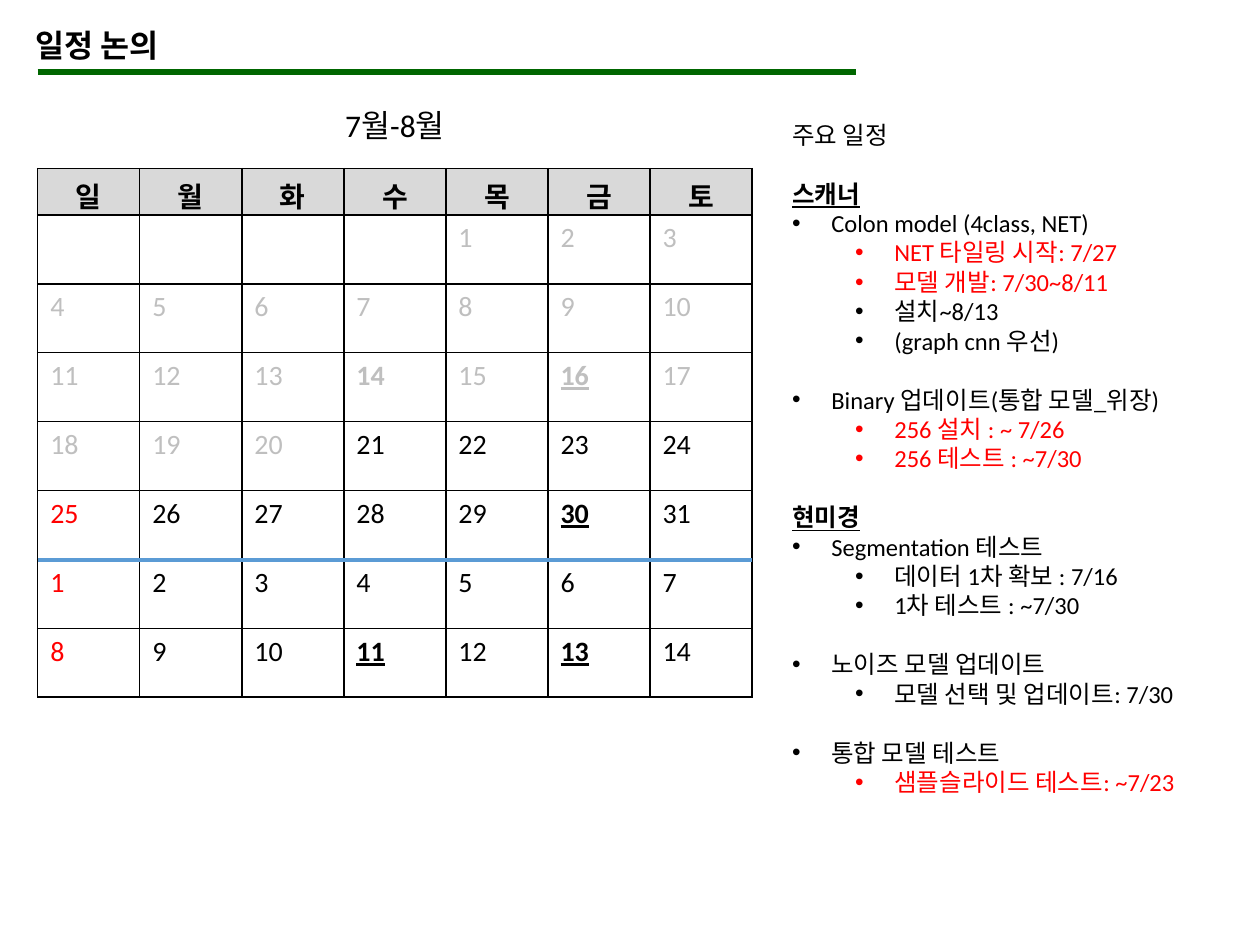
"""Builds the July-August schedule slide with its calendar and task list."""
import lxml.etree
import pptx
import pptx.dml.color
import pptx.enum.shapes
import pptx.enum.text
import pptx.oxml.ns
import pptx.util

Cm = pptx.util.Cm
Pt = pptx.util.Pt
RGBColor = pptx.dml.color.RGBColor
qn = pptx.oxml.ns.qn

BLACK = RGBColor(0x00, 0x00, 0x00)
WHITE = RGBColor(0xFF, 0xFF, 0xFF)
RED = RGBColor(0xFF, 0x00, 0x00)
PAST_GREY = RGBColor(0xBF, 0xBF, 0xBF)
HEADER_GREY = RGBColor(0xD9, 0xD9, 0xD9)
GREEN = RGBColor(0x00, 0x66, 0x00)
BLUE = RGBColor(0x5B, 0x9B, 0xD5)

WEEKDAYS = "일월화수목금토"
WEEKS = 7
FIRST_WEEKDAY = 4
JULY_DAYS = 31
TODAY = 21
MILESTONES = {16, 30, JULY_DAYS + 11, JULY_DAYS + 13}
BOLD_DAYS = MILESTONES | {14}

HEADING, TASK, STEP = range(3)
INDENTS = {TASK: Cm(0.79), STEP: Cm(2.06)}
HANGING = Cm(0.79)
LINE_GAP = Pt(16.8)
SCHEDULE = [
    (HEADING, "스캐너", BLACK, True),
    (TASK, "Colon model (4class, NET)", BLACK, False),
    (STEP, "NET 타일링 시작: 7/27", RED, False),
    (STEP, "모델 개발: 7/30~8/11", RED, False),
    (STEP, "설치~8/13", BLACK, False),
    (STEP, "(graph cnn 우선)", BLACK, False),
    (TASK, "Binary 업데이트(통합 모델_위장)", BLACK, True),
    (STEP, "256 설치 : ~ 7/26", RED, False),
    (STEP, "256 테스트 : ~7/30", RED, False),
    (HEADING, "현미경", BLACK, True),
    (TASK, "Segmentation 테스트", BLACK, False),
    (STEP, "데이터 1차 확보 : 7/16", BLACK, False),
    (STEP, "1차 테스트 : ~7/30", BLACK, False),
    (TASK, "노이즈 모델 업데이트", BLACK, True),
    (STEP, "모델 선택 및 업데이트: 7/30", BLACK, False),
    (TASK, "통합 모델 테스트", BLACK, True),
    (STEP, "샘플슬라이드 테스트: ~7/23", RED, False),
]


def write(paragraph, text, size=14, color=BLACK, bold=False, underline=False, align=None):
    """Add formatted text to a paragraph."""
    run = paragraph.add_run()
    run.text = text
    run.font.name = "Calibri"
    run.font.size = Pt(size)
    run.font.color.rgb = color
    run.font.bold = bold
    run.font.underline = underline
    if align is not None:
        paragraph.alignment = align


class SlideBuilder:
    """Holds the slide and the style of its elements."""

    border_color = BLACK
    border_width = Pt(1)

    def __init__(self, slide):
        self.slide = slide

    def text_box(self, left, top, width, height):
        frame = self.slide.shapes.add_textbox(left, top, width, height).text_frame
        frame.word_wrap = True
        return frame

    def label(self, text, left, top, width, height, **style):
        write(self.text_box(left, top, width, height).paragraphs[0], text, **style)

    def rule(self, left, right, y, color, width):
        connector = self.slide.shapes.add_connector(
            pptx.enum.shapes.MSO_CONNECTOR.STRAIGHT, left, y, right, y)
        connector.line.color.rgb = color
        connector.line.width = Pt(width)
        properties = connector.line._get_or_add_ln().getparent()
        lxml.etree.SubElement(properties, qn("a:effectLst"))

    def bullet_list(self, title, entries, left, top, width, height):
        frame = self.text_box(left, top, width, height)
        write(frame.paragraphs[0], title)
        for kind, text, color, gap in entries:
            paragraph = frame.add_paragraph()
            if gap:
                paragraph.space_before = LINE_GAP
            if kind != HEADING:
                paragraph.level = kind - TASK
                properties = paragraph._p.get_or_add_pPr()
                properties.set("marL", str(INDENTS[kind]))
                properties.set("indent", str(-HANGING))
                lxml.etree.SubElement(properties, qn("a:buFont"), typeface="Arial")
                lxml.etree.SubElement(properties, qn("a:buChar"), char="•")
            heading = kind == HEADING
            write(paragraph, text, color=color, bold=heading, underline=heading)

    def style_cell(self, cell, fill):
        properties = cell._tc.get_or_add_tcPr()
        for side in ("a:lnL", "a:lnR", "a:lnT", "a:lnB"):
            border = lxml.etree.SubElement(properties, qn(side), w=str(self.border_width))
            solid = lxml.etree.SubElement(border, qn("a:solidFill"))
            lxml.etree.SubElement(solid, qn("a:srgbClr"), val=str(self.border_color))
        cell.fill.solid()
        cell.fill.fore_color.rgb = fill

    def calendar(self, left, top, width, header_height, week_height):
        columns = len(WEEKDAYS)
        grid = self.slide.shapes.add_table(
            WEEKS + 1, columns, left, top, width,
            header_height + WEEKS * week_height).table
        grid.rows[0].height = header_height
        for week in range(1, WEEKS + 1):
            grid.rows[week].height = week_height
        for column, weekday in enumerate(WEEKDAYS):
            header = grid.cell(0, column)
            self.style_cell(header, HEADER_GREY)
            header.vertical_anchor = pptx.enum.text.MSO_ANCHOR.MIDDLE
            write(header.text_frame.paragraphs[0], weekday, size=16, bold=True,
                  align=pptx.enum.text.PP_ALIGN.CENTER)
            for week in range(WEEKS):
                cell = grid.cell(week + 1, column)
                self.style_cell(cell, WHITE)
                day = week * columns + column - FIRST_WEEKDAY + 1
                if day < 1:
                    continue
                color = PAST_GREY if day < TODAY else RED if column == 0 else BLACK
                shown = day if day <= JULY_DAYS else day - JULY_DAYS
                write(cell.text_frame.paragraphs[0], str(shown), size=16, color=color,
                      bold=day in BOLD_DAYS, underline=day in MILESTONES)


def main():
    deck = pptx.Presentation()
    deck.slide_width = Cm(25.4)
    deck.slide_height = Cm(19.05)
    builder = SlideBuilder(deck.slides.add_slide(deck.slide_layouts[6]))

    calendar_left, calendar_width = Cm(0.76), Cm(14.4)
    builder.label("일정 논의", Cm(0.46), Cm(0.41), Cm(14.96), Cm(1.02), size=18, bold=True)
    builder.rule(calendar_left, Cm(17.25), Cm(1.45), GREEN, 3)
    builder.calendar(calendar_left, Cm(3.4), calendar_width, Cm(0.86), Cm(1.39))
    builder.bullet_list("주요 일정", SCHEDULE, Cm(15.72), Cm(2.29), Cm(9.53), Cm(14.63))
    builder.label("7월-8월", Cm(6.71), Cm(2.01), Cm(3.3), Cm(1.02), size=18)
    builder.rule(calendar_left, calendar_left + calendar_width, Cm(11.28), BLUE, 2.25)
    deck.save("out.pptx")


if __name__ == "__main__":
    main()
